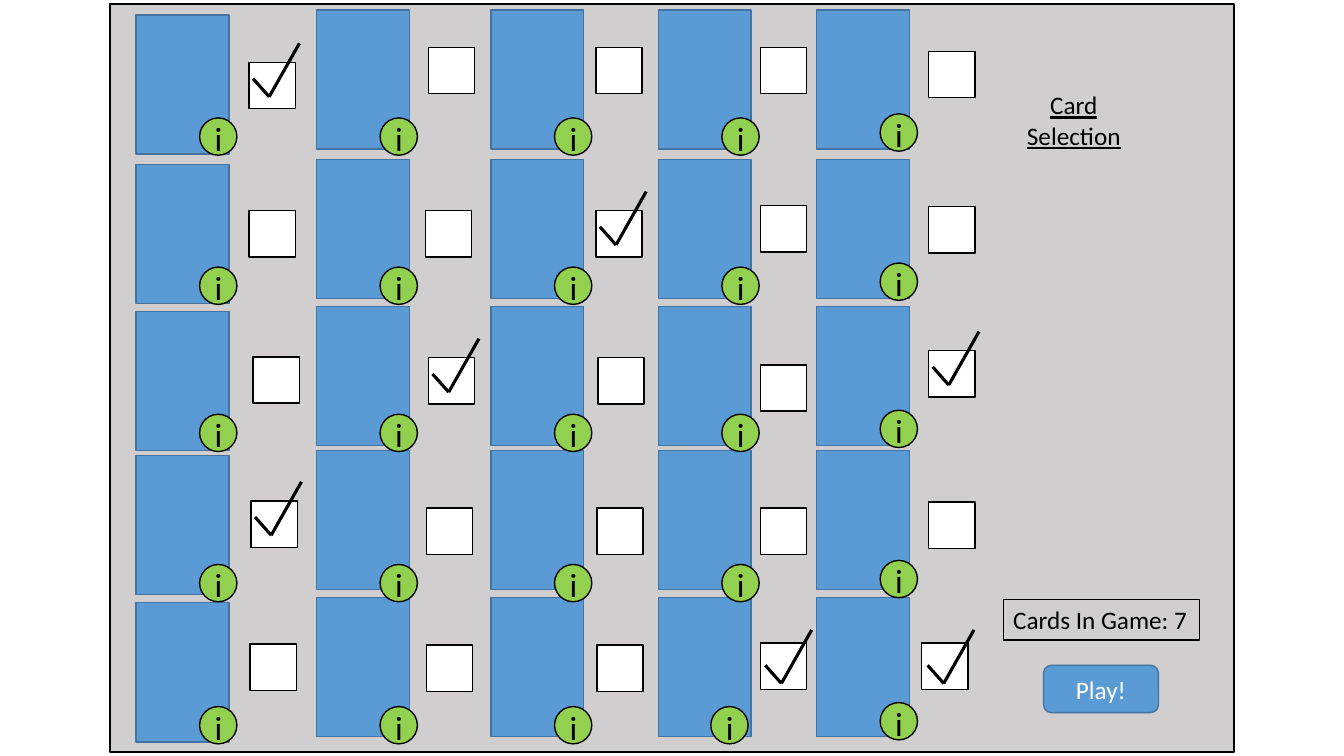
from dataclasses import dataclass

from lxml import etree
from pptx import Presentation
from pptx.dml.color import RGBColor
from pptx.enum.shapes import MSO_CONNECTOR, MSO_SHAPE
from pptx.enum.text import MSO_ANCHOR, MSO_AUTO_SIZE, PP_ALIGN
from pptx.oxml.ns import qn
from pptx.util import Inches, Pt

RECT, ROUND, OVAL = MSO_SHAPE.RECTANGLE, MSO_SHAPE.ROUNDED_RECTANGLE, MSO_SHAPE.OVAL
STRAIGHT = MSO_CONNECTOR.STRAIGHT
LEFT, CENTER = PP_ALIGN.LEFT, PP_ALIGN.CENTER
TOP, MIDDLE = MSO_ANCHOR.TOP, MSO_ANCHOR.MIDDLE
FIT, FIXED = MSO_AUTO_SIZE.SHAPE_TO_FIT_TEXT, MSO_AUTO_SIZE.NONE
TITLE_ONLY = 5


@dataclass(frozen=True)
class Theme:
    """Colours, type and line weights of the slide."""
    font: str = "Calibri"
    ink: str = "000000"
    white: str = "FFFFFF"
    panel: str = "D0CECE"
    card: str = "5B9BD5"
    card_edge: str = "43739E"
    badge: str = "92D050"
    body_size: float = 18
    badge_size: float = 24
    thin: float = 0.75
    line: float = 1
    tick: float = 2.25


CARD_X = [1.35, 3.14, 4.87, 6.53, 8.1]
CARD_Y = [0.1, 1.58, 3.04, 4.47, 5.93]
FIRST_CARD_DROP = 0.05
BADGE_DX = 0.63
BADGE_Y = [1.17, 2.65, 4.11, 5.6, 7.01]
LAST_BADGE_RISE = 0.04
BADGE_SHIFTS = {(4, 3): -0.11}
BOXES = [
    [(2.47, 0.62), (4.25, 0.47), (5.91, 0.47), (7.54, 0.47), (9.21, 0.51)],
    [(2.47, 2.09), (4.22, 2.09), (5.91, 2.09), (7.54, 2.04), (9.21, 2.05)],
    [(2.51, 3.54), (4.25, 3.55), (5.93, 3.55), (7.54, 3.62), (9.21, 3.48)],
    [(2.49, 4.97), (4.23, 5.04), (5.92, 5.04), (7.54, 5.04), (9.21, 4.98)],
    [(2.48, 6.39), (4.23, 6.4), (5.92, 6.4), (7.54, 6.38), (9.14, 6.38)],
]
TICK = [(0.04, 0.16), (0.2, 0.34), (0.5, -0.19)]
TICK_NUDGES = {(0, 0): (0, 0), (1, 2): (0, 0), (2, 1): (0, 0), (2, 4): (0, 0),
               (3, 0): (0, 0), (4, 3): (0.01, 0.06), (4, 4): (0.02, 0.06)}


class Board:
    """Draws card-board elements on one slide in one theme."""

    def __init__(self, s, theme):
        self.s = s
        self.theme = theme

    def set_text(self, shape, lines, size, color, align=LEFT, anchor=TOP,
                 wrap=False, fit=FIT, underline=None):
        tf = shape.text_frame
        frame = {"word_wrap": wrap, "auto_size": fit, "vertical_anchor": anchor}
        for name, value in frame.items():
            setattr(tf, name, value)
        style = {"name": self.theme.font, "size": Pt(size), "underline": underline}
        for i, line in enumerate(lines):
            p = tf.add_paragraph() if i else tf.paragraphs[0]
            p.alignment = align
            r = p.add_run()
            r.text = line
            for name, value in style.items():
                setattr(r.font, name, value)
            r.font.color.rgb = RGBColor.from_string(color)

    def shape(self, kind, x, y, w, h, fill, edge, width=None, parent=None):
        sp = (parent or self.s).shapes.add_shape(
            kind, Inches(x), Inches(y), Inches(w), Inches(h))
        sp.shadow.inherit = False
        if fill:
            sp.fill.solid()
            sp.fill.fore_color.rgb = RGBColor.from_string(fill)
        else:
            sp.fill.background()
        sp.line.color.rgb = RGBColor.from_string(edge)
        sp.line.width = Pt(width or self.theme.line)
        return sp

    def card(self, x, y):
        self.shape(RECT, x, y, 0.92, 1.38, self.theme.card, self.theme.card_edge)

    def badge(self, x, y):
        t = self.theme
        group = self.s.shapes.add_group_shape()
        self.shape(OVAL, x, y, 0.37, 0.37, t.badge, t.ink, parent=group)
        label = group.shapes.add_textbox(
            Inches(x + 0.05), Inches(y - 0.05), Inches(0.28), Inches(0.5))
        self.set_text(label, ["i"], t.badge_size, t.ink)

    def checkbox(self, x, y):
        self.shape(RECT, x, y, 0.46, 0.46, self.theme.white, self.theme.ink)

    def tick(self, x, y):
        group = self.s.shapes.add_group_shape()
        points = [(Inches(x + dx), Inches(y + dy)) for dx, dy in TICK]
        for start, end in zip(points, points[1:]):
            line = group.shapes.add_connector(STRAIGHT, *start, *end)
            line.line.color.rgb = RGBColor.from_string(self.theme.ink)
            line.line.width = Pt(self.theme.tick)
            etree.SubElement(line.element.spPr, qn("a:effectLst"))

    def title(self, lines, x, y, w, h):
        sp = self.s.shapes.title
        place = {"left": x, "top": y, "width": w, "height": h}
        for name, value in place.items():
            setattr(sp, name, Inches(value))
        self.set_text(sp, lines, self.theme.body_size, self.theme.ink,
                      align=CENTER, underline=True)
        sp.element.getparent().append(sp.element)

    def counter(self, text, x, y, w, h):
        t = self.theme
        sp = self.shape(RECT, x, y, w, h, None, t.ink, t.thin)
        self.set_text(sp, [text], t.body_size, t.ink)

    def button(self, text, x, y, w, h):
        t = self.theme
        sp = self.shape(ROUND, x, y, w, h, t.card, t.card_edge)
        self.set_text(sp, [text], t.body_size, t.white, align=CENTER,
                      anchor=MIDDLE, wrap=True, fit=FIXED)


def main():
    prs = Presentation()
    prs.slide_width, prs.slide_height = Inches(13.33), Inches(7.5)
    s = prs.slides.add_slide(prs.slide_layouts[TITLE_ONLY])
    theme = Theme()
    board = Board(s, theme)
    board.shape(RECT, 1.09, 0.04, 11.15, 7.42, theme.panel, theme.ink)

    for y in CARD_Y:
        for col, x in enumerate(CARD_X):
            board.card(x, y + (FIRST_CARD_DROP if col == 0 else 0))

    for row, y in enumerate(BADGE_Y):
        for col, x in enumerate(CARD_X):
            rise = LAST_BADGE_RISE if col == len(CARD_X) - 1 else 0
            board.badge(x + BADGE_DX + BADGE_SHIFTS.get((row, col), 0), y - rise)

    for row, boxes in enumerate(BOXES):
        for col, (x, y) in enumerate(boxes):
            board.checkbox(x, y)
            if (row, col) in TICK_NUDGES:
                dx, dy = TICK_NUDGES[row, col]
                board.tick(x + dx, y + dy)

    board.counter("Cards In Game: 7", 9.95, 5.95, 1.95, 0.4)
    board.button("Play!", 10.35, 6.6, 1.14, 0.47)
    board.title(["Card", "Selection"], 10.08, 0.84, 1.14, 0.71)
    prs.save("out.pptx")


if __name__ == "__main__":
    main()
